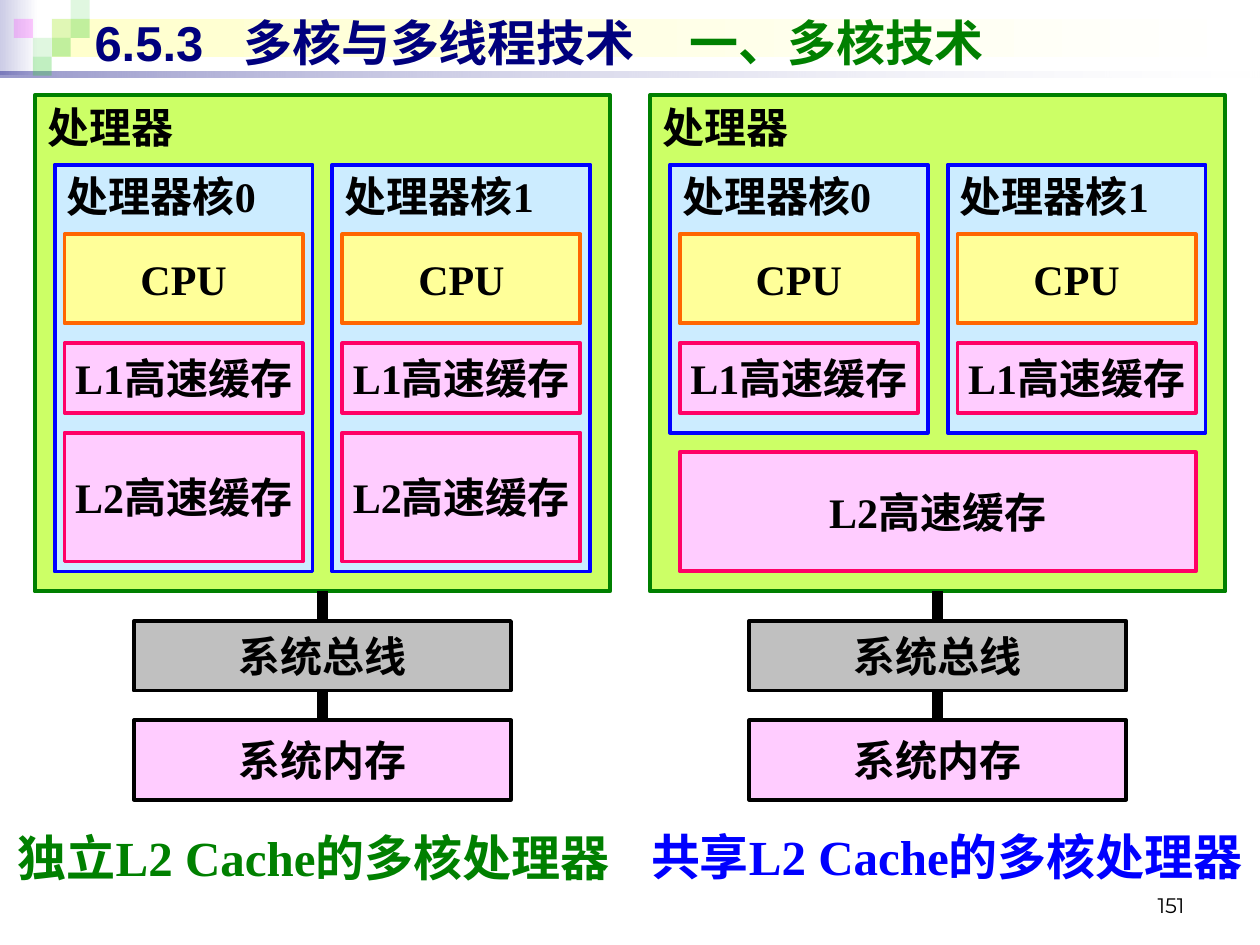
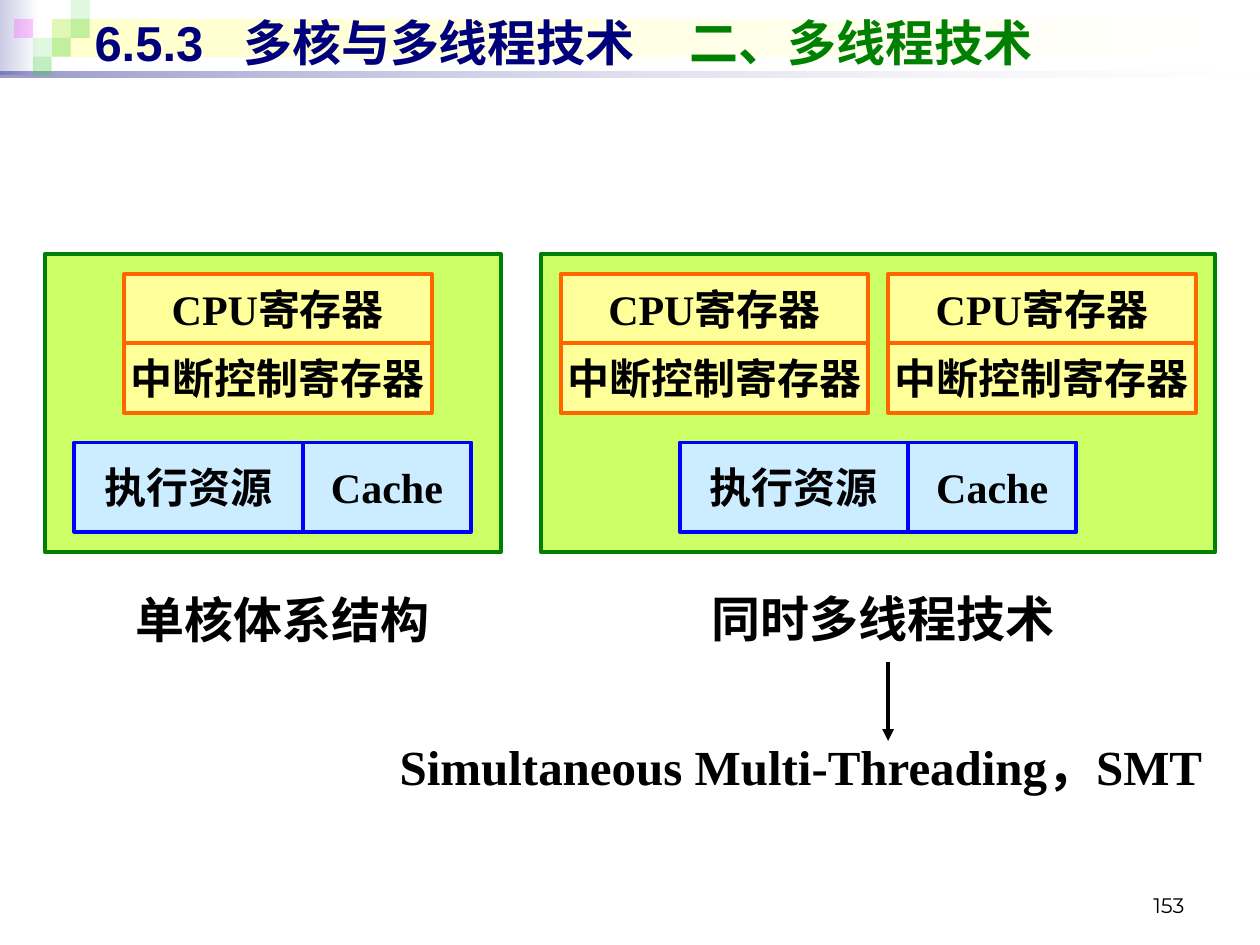
from pptx import Presentation
from pptx.dml.color import RGBColor
from pptx.enum.shapes import MSO_CONNECTOR, MSO_SHAPE
from pptx.enum.text import MSO_ANCHOR, MSO_AUTO_SIZE, PP_ALIGN
from pptx.oxml.ns import qn
from pptx.util import Pt
from lxml import etree

RECT, LINE = MSO_SHAPE.RECTANGLE, MSO_CONNECTOR.STRAIGHT
LEFT, MID, RIGHT = PP_ALIGN.LEFT, PP_ALIGN.CENTER, PP_ALIGN.RIGHT
TOP, CENTER, BOTTOM = MSO_ANCHOR.TOP, MSO_ANCHOR.MIDDLE, MSO_ANCHOR.BOTTOM
FIXED = MSO_AUTO_SIZE.NONE

HEAD = "6.5.3\t多核与多线程技术\t"
TOPICS = ["一、多核技术", "二、多线程技术"]
PAGES = ["151", "153"]
CORES = ["处理器核0", "处理器核1"]
PARTS = [("cpu", "CPU", 7, 9), ("cache", "L1高速缓存", 18, 7)]
L2 = "L2高速缓存"
CHIPS = [
    {"left": 3.5, "shared": False, "core": 41},
    {"left": 65.5, "shared": True, "core": 27},
]
TAILS = [("bus", "系统总线", 53, 7), ("store", "系统内存", 63, 8)]
REGS = ["CPU寄存器", "中断控制寄存器"]
UNITS = [("执行资源", 23), ("Cache", 17)]
PLANS = [
    {"left": 4.5, "wide": 46, "regs": [8], "units": 3},
    {"left": 54.5, "wide": 68, "regs": [2, 35], "units": 14},
]
NOTES = [
    [("独立L2 Cache的多核处理器", (3, 469, 369, 45), LEFT, "green"),
     ("共享L2 Cache的多核处理器", (332, 469, 385, 45), RIGHT, "blue")],
    [("单核体系结构", (54, 333, 215, 40), MID, "black"),
     ("同时多线程技术", (377, 333, 255, 40), MID, "black"),
     ("Simultaneous Multi-Threading，SMT", (173, 417.6, 521, 45), RIGHT, "black")],
]

HEX = {
    "black": "000000", "white": "FFFFFF", "navy": "00007D", "green": "008000",
    "blue": "0000FF", "lime": "CCFF66", "sky": "CCECFF", "yellow": "FFFF99",
    "orange": "FF6600", "pink": "FFCCFF", "rose": "FF0066", "grey": "C0C0C0",
    "lilac": "CCCCE6", "cream": "FFFFCC", "leaf": "33CC33", "violet": "FF00FF",
}
KINDS = {
    "chip": ("lime", "green"), "core": ("sky", "blue"), "cpu": ("yellow", "orange"),
    "cache": ("pink", "rose"), "bus": ("grey", "black"), "store": ("pink", "black"),
}
FADES = [
    ((0, 0, 22, 43), ("lilac", "white"), (100, 100)),
    ((29.5, 10.8, 687.6, 21.6), ("cream", "white"), (100, 100)),
    ((0, 41, 720, 3.6), ("navy", "white"), (40, 10)),
]
TILE = 10.8
TILES = [(2, 1, "leaf", 15), (3, 0, "leaf", 15), (3, 1, "leaf", 30), (1, 2, "leaf", 15),
         (0, 1, "violet", 20), (2, 2, "leaf", 30), (1, 3, "leaf", 30)]
GRID = 5.67
SERIF = "Times New Roman"


def tint(name):
    return RGBColor.from_string(HEX[name])


def pts(*nums):
    return [Pt(n) for n in nums]


def style(run, size, color, face=SERIF, bold=True):
    font = run.font
    font.name, font.size, font.bold = face, Pt(size), bold
    font.color.rgb = tint(color)


def veil(shape, alphas):
    for node, alpha in zip(shape.element.spPr.iter(qn("a:srgbClr")), alphas):
        etree.SubElement(node, qn("a:alpha")).set("val", str(alpha * 1000))


def plain(slide, place):
    shape = slide.shapes.add_shape(RECT, *pts(*place))
    shape.shadow.inherit = False
    shape.line.fill.background()
    return shape


def band(prs, slide):
    shapes = []
    for place, names, alphas in FADES:
        shape = plain(slide, place)
        shape.fill.gradient()
        shape.fill.gradient_angle = 0
        for stop, name in zip(shape.fill.gradient_stops, names):
            stop.color.rgb = tint(name)
        veil(shape, alphas)
        shapes.append(shape)
    for col, row, name, alpha in TILES:
        shape = plain(slide, (8 + col * TILE, row * TILE, TILE, TILE))
        shape.fill.solid()
        shape.fill.fore_color.rgb = tint(name)
        veil(shape, [alpha])
        shapes.append(shape)
    for shape in shapes:
        prs.slide_master.shapes.element.append(shape.element)


def box(slide, kind, text, x, y, w, h, align=MID, anchor=CENTER):
    shape = slide.shapes.add_shape(RECT, *pts(*(n * GRID for n in (x, y, w, h))))
    fill, edge = KINDS[kind]
    shape.shadow.inherit = False
    shape.fill.solid()
    shape.fill.fore_color.rgb = tint(fill)
    shape.line.color.rgb = tint(edge)
    shape.line.width = Pt(2.25)
    if text:
        frame = shape.text_frame
        frame.text = text
        frame.word_wrap = False
        frame.vertical_anchor = anchor
        para = frame.paragraphs[0]
        para.alignment = align
        style(para.runs[0], 24, "black")


def link(slide, x, top, end, width, arrow=False):
    line = slide.shapes.add_connector(LINE, *pts(x, top, x, end))
    line.line.color.rgb = tint("black")
    line.line.width = Pt(width)
    if arrow:
        etree.SubElement(line.line._get_or_add_ln(), qn("a:tailEnd")).set("type", "triangle")
    etree.SubElement(line.element.spPr, qn("a:effectLst"))


def put(shape, place, anchor):
    shape.left, shape.top, shape.width, shape.height = pts(*place)
    frame = shape.text_frame
    frame.word_wrap = True
    frame.auto_size = FIXED
    frame.vertical_anchor = anchor
    return frame


def note(shape, text, place, align, color):
    frame = put(shape, place, TOP)
    frame.text = text
    para = frame.paragraphs[0]
    props = para._p.get_or_add_pPr()
    props.set("marL", str(Pt(27)))
    props.set("indent", str(-Pt(27)))
    etree.SubElement(props, qn("a:buNone"))
    para.space_before = Pt(0)
    para.alignment = align
    style(para.runs[0], 28, color)


def title(slide, topic):
    para = put(slide.shapes.title, (46.8, 3.6, 664.6, 41), CENTER).paragraphs[0]
    tabs = etree.SubElement(para._p.get_or_add_pPr(), qn("a:tabLst"))
    for stop in (85, 340):
        tab = etree.SubElement(tabs, qn("a:tab"))
        tab.set("pos", str(Pt(stop)))
        tab.set("algn", "l")
    para.alignment = LEFT
    for text, color in ((HEAD, "navy"), (topic, "green")):
        run = para.add_run()
        run.text = text
        style(run, 28, color, "Arial")


def start(prs, num):
    slide = prs.slides.add_slide(prs.slide_layouts[1])
    if num == 0:
        band(prs, slide)
    title(slide, TOPICS[num])
    for i, (text, place, align, color) in enumerate(NOTES[num]):
        shape = slide.shapes.add_textbox(*pts(*place)) if i else slide.placeholders[1]
        note(shape, text, place, align, color)
    place = (516, 492, 168, 36)
    frame = put(slide.shapes.add_textbox(*pts(*place)), place, BOTTOM)
    frame.text = PAGES[num]
    frame.paragraphs[0].alignment = RIGHT
    style(frame.paragraphs[0].runs[0], 12, "black", "Montserrat", False)
    return slide


def multi(slide):
    top = 9.6
    for chip in CHIPS:
        left = chip["left"]
        box(slide, "chip", "处理器", left, top, 58, 50, LEFT, TOP)
        parts = PARTS if chip["shared"] else PARTS + [("cache", L2, 27, 13)]
        for i, name in enumerate(CORES):
            x, y = left + 2 + 28 * i, top + 7
            box(slide, "core", name, x, y, 26, chip["core"], LEFT, TOP)
            for kind, text, down, high in parts:
                box(slide, kind, text, x + 1, y + down, 24, high)
        if chip["shared"]:
            box(slide, "cache", L2, left + 3, top + 36, 52, 12)
        for kind, text, down, high in TAILS:
            box(slide, kind, text, left + 10, top + down, 38, high)
            end = (top + down) * GRID
            link(slide, (left + 29) * GRID, end - 3 * GRID, end, 6)


def threads(slide):
    top = 25.6
    for plan in PLANS:
        left = plan["left"]
        box(slide, "chip", "", left, top, plan["wide"], 30)
        for dx in plan["regs"]:
            for row, text in enumerate(REGS):
                box(slide, "cpu", text, left + dx, top + 2 + 7 * row, 31, 7)
        x = left + plan["units"]
        for text, wide in UNITS:
            box(slide, "core", text, x, top + 19, wide, 9)
            x += wide
    link(slide, 507.5, 378, 423.4, 2.25, True)


def main():
    prs = Presentation()
    prs.slide_width, prs.slide_height = pts(720, 540)
    for num, draw in enumerate((multi, threads)):
        draw(start(prs, num))
    prs.save("out.pptx")


if __name__ == "__main__":
    main()
